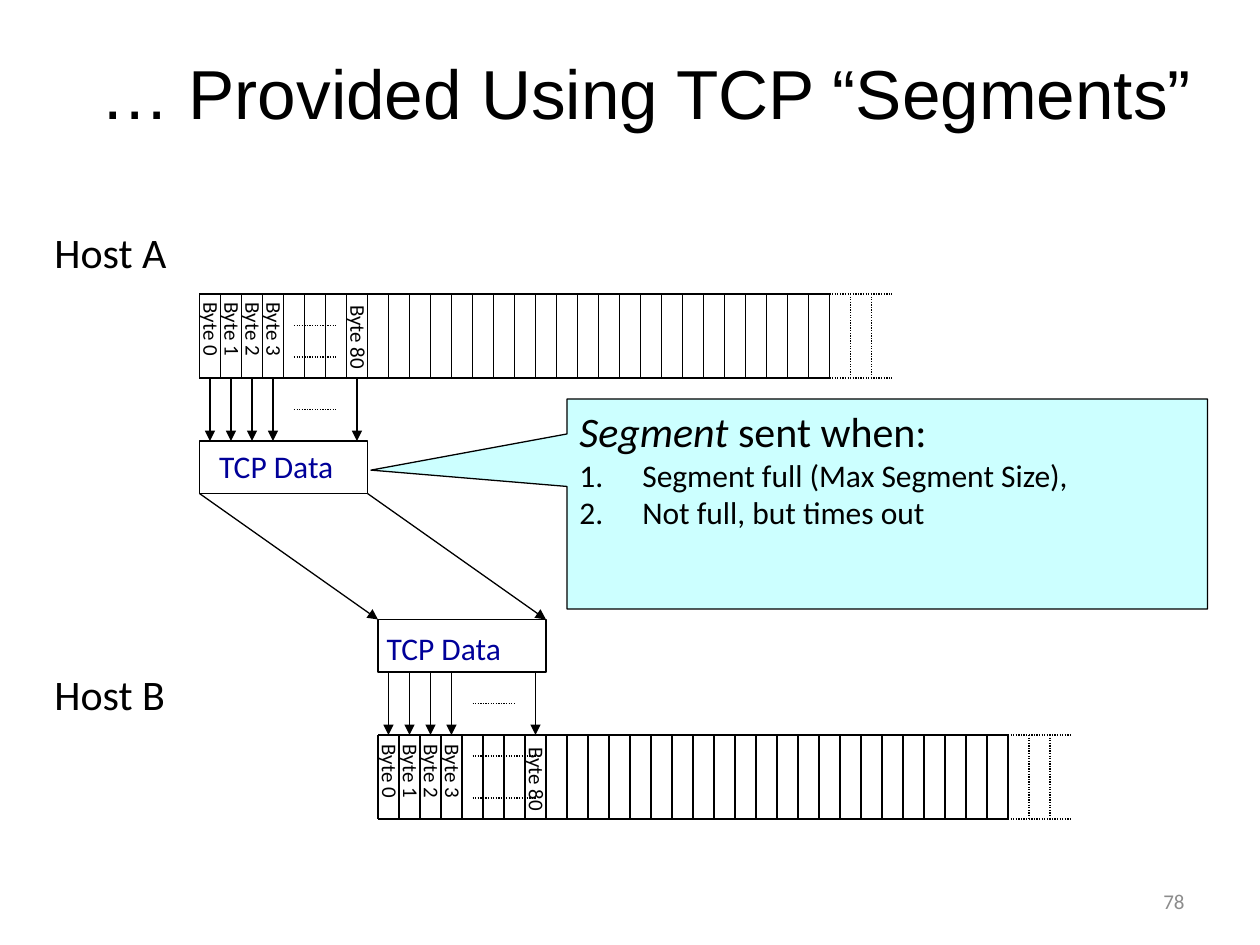
from dataclasses import dataclass
import pptx
import pptx.util
import pptx.dml.color
import pptx.enum.dml
import pptx.enum.shapes
import pptx.enum.text
from pptx.oxml.ns import qn
from lxml import etree

TITLE = "… Provided Using TCP “Segments”"
BYTES = [(0, "Byte 0"), (1, "Byte 1"), (2, "Byte 2"), (3, "Byte 3"), (7, "Byte 80")]
SEGMENT = "TCP Data"
LEAD = [("Segment", True), (" sent when:", False)]
RULES = ["Segment full (Max Segment Size),", "Not full, but times out"]
PAGE = "78"

# Grid units: six to the inch. Gaps are (row from strip top, length).
HOSTS = [
    dict(name="Host A", label=10.5, left=9.5, top=14, box=21, arrow=(18, 21),
         text=(9.84, 21), gaps=[(1.5, 2), (3, 2), (5.5, 2)], drop=1.85),
    dict(name="Host B", label=31.56, left=18, top=35, box=29.5, arrow=(32, 35),
         text=(17.82, 29.64), gaps=[(1, 3), (3, 3), (-1.5, 2)], drop=1.9),
]
CELLS, FADED = 30, 3
HIGH = 4
BOX_W, BOX_H = 8, 2.5


@dataclass(frozen=True)
class Theme:
    ink: str = "000000"
    blue: str = "000099"
    gray: str = "8C8C8C"
    white: str = "FFFFFF"
    cyan: str = "CCFFFF"
    head: str = "Arial"
    body: str = "Calibri"
    title: float = 39.6
    large: int = 24
    mid: int = 18
    small: int = 12
    line: float = 0.75


T = Theme()
SHAPE = pptx.enum.shapes.MSO_SHAPE
ALIGN = pptx.enum.text.PP_ALIGN
ANCHOR = pptx.enum.text.MSO_ANCHOR


def unit(n):
    return pptx.util.Inches(n / 6)


def color(code):
    return pptx.dml.color.RGBColor.from_string(code)


def add_run(para, text, size, tint=T.ink, face=T.body, italic=False):
    run = para.add_run()
    run.text = text
    run.font.size = pptx.util.Pt(size)
    run.font.name = face
    run.font.italic = italic
    run.font.color.rgb = color(tint)


def add_line(slide, x1, y1, x2, y2, dotted=False, arrow=False):
    line = slide.shapes.add_connector(
        pptx.enum.shapes.MSO_CONNECTOR.STRAIGHT, unit(x1), unit(y1), unit(x2), unit(y2))
    line.line.color.rgb = color(T.ink)
    line.line.width = pptx.util.Pt(T.line)
    if dotted:
        line.line.dash_style = pptx.enum.dml.MSO_LINE.ROUND_DOT
    props = line._element.spPr
    if arrow:
        etree.SubElement(props.find(qn("a:ln")), qn("a:tailEnd"), type="triangle")
    etree.SubElement(props, qn("a:effectLst"))


def add_text(slide, x, y, w, h, text, size, tint=T.ink, wrap=False):
    box = slide.shapes.add_textbox(unit(x), unit(y), unit(w), unit(h))
    box.text_frame.word_wrap = wrap
    add_run(box.text_frame.paragraphs[0], text, size, tint)
    return box


def add_shape(slide, kind, x, y, w, h, fill):
    shape = slide.shapes.add_shape(kind, unit(x), unit(y), unit(w), unit(h))
    shape.shadow.inherit = False
    shape.fill.solid()
    shape.fill.fore_color.rgb = color(fill)
    shape.line.color.rgb = color(T.ink)
    shape.line.width = pptx.util.Pt(T.line)
    return shape


def add_strip(slide, host):
    """Draw the row of byte cells, which fades out to dots on the right."""
    left, top = host["left"], host["top"]
    end, low = left + CELLS, top + HIGH
    for y in (top, low):
        add_line(slide, left, y, end, y)
        add_line(slide, end, y, end + FADED, y, dotted=True)
    for i in range(CELLS + FADED):
        add_line(slide, left + i, top, left + i, low, dotted=i > CELLS)
    for row, size in host["gaps"]:
        add_line(slide, left + 4.5, top + row, left + 4.5 + size, top + row, dotted=True)


def add_bytes(slide, host):
    for cell, name in BYTES:
        mid = host["left"] + cell + 0.5
        wide, drop = (4.62, 0.4) if len(name) > 6 else (4.08, 0)
        y = host["top"] + host["drop"] + drop
        label = add_text(slide, mid + 0.08 - wide / 2, y - 0.9, wide, 1.8, name, T.small)
        label.rotation = 89.8
        add_line(slide, mid, host["arrow"][0], mid, host["arrow"][1], arrow=True)


def add_callout(slide):
    note = add_shape(slide, SHAPE.RECTANGULAR_CALLOUT, 27, 19, 30.5, 10, T.cyan)
    note.adjustments[0], note.adjustments[1] = -0.806, -0.161
    frame = note.text_frame
    frame.word_wrap = True
    frame.vertical_anchor = ANCHOR.TOP
    lead = [(text, T.large, slant) for text, slant in LEAD]
    for i, runs in enumerate([lead] + [[(rule, T.mid, False)] for rule in RULES]):
        para = frame.add_paragraph() if i else frame.paragraphs[0]
        para.alignment = ALIGN.LEFT
        props = para._p.get_or_add_pPr()
        props.set("marL", str(unit(3)))
        props.set("indent", str(-unit(3)))
        if i:
            etree.SubElement(props, qn("a:buAutoNum"), type="arabicPeriod")
        for text, size, slant in runs:
            add_run(para, text, size, italic=slant)


def main():
    deck = pptx.Presentation()
    deck.slide_width, deck.slide_height = unit(60), unit(45)
    slide = deck.slides.add_slide(deck.slide_layouts[5])

    title = slide.shapes.title
    title.left, title.top, title.width, title.height = map(unit, (2, 0.5, 57.5, 7.7))
    title.text_frame.vertical_anchor = ANCHOR.MIDDLE
    para = title.text_frame.paragraphs[0]
    para.alignment = ALIGN.CENTER
    add_run(para, TITLE, T.title, face=T.head)

    for host in HOSTS:
        add_strip(slide, host)
        add_shape(slide, SHAPE.RECTANGLE, host["left"], host["box"], BOX_W, BOX_H, T.white)
        add_bytes(slide, host)
        add_text(slide, 2, host["label"], 7.2, 3, host["name"], T.large)
        add_text(slide, *host["text"], 7.86, 2.4, SEGMENT, T.mid, T.blue, wrap=True)

    send, get = HOSTS
    for side in (0, BOX_W):
        add_line(slide, send["left"] + side, send["box"] + BOX_H,
                 get["left"] + side, get["box"], arrow=True)
    add_callout(slide)

    page = add_text(slide, 43, 41.7, 14, 2.4, PAGE, T.small, T.gray, wrap=True)
    page.text_frame.vertical_anchor = ANCHOR.MIDDLE
    page.text_frame.paragraphs[0].alignment = ALIGN.RIGHT
    deck.save("out.pptx")


if __name__ == "__main__":
    main()
